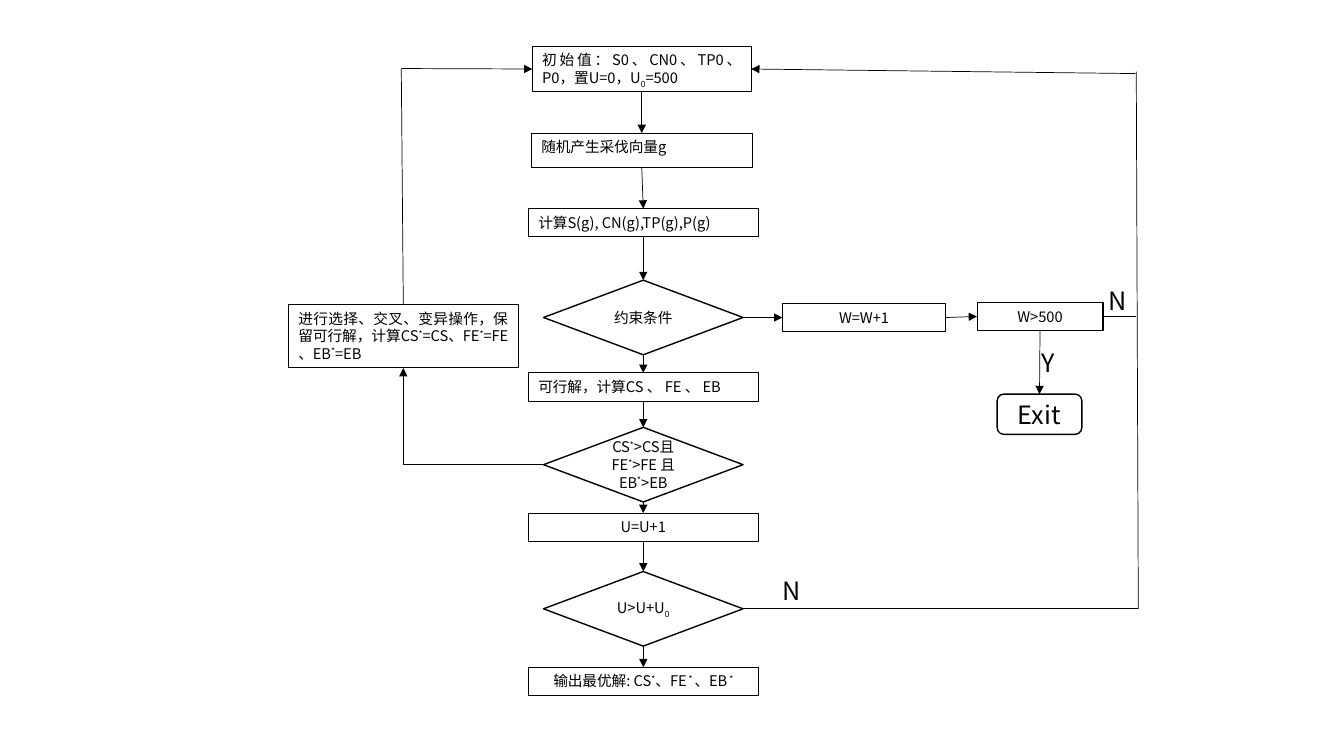
from lxml import etree
from pptx import Presentation
from pptx.dml.color import RGBColor
from pptx.enum.shapes import MSO_CONNECTOR, MSO_SHAPE
from pptx.enum.text import MSO_ANCHOR, PP_ALIGN
from pptx.oxml.ns import qn
from pptx.util import Inches, Pt

RECTANGLE, DIAMOND, ROUNDED = MSO_SHAPE.RECTANGLE, MSO_SHAPE.DIAMOND, MSO_SHAPE.ROUNDED_RECTANGLE
STRAIGHT = MSO_CONNECTOR.STRAIGHT
LEFT_ALIGN, CENTER, JUSTIFY = PP_ALIGN.LEFT, PP_ALIGN.CENTER, PP_ALIGN.JUSTIFY
TOP_ANCHOR, MIDDLE = MSO_ANCHOR.TOP, MSO_ANCHOR.MIDDLE
TOP, LEFT, BOTTOM, RIGHT = range(4)

COLORS = {"ink": "000000", "paper": "FFFFFF"}
FONT = "Noto Sans CJK SC"
SUPERSCRIPT, SUBSCRIPT = 30, -25
CELL = Inches(0.1)  # the grid's columns and rows are equally wide

# Grid measures shared by the main column
AXIS = 63.8
STEP_WIDTH, STEP_HEIGHT = 22.8, 2.8
DECISION_WIDTH, DECISION_HEIGHT = 19.8, 7.4


def color(name):
    return RGBColor.from_string(COLORS[name])


def write(frame, text, size=10.5, align=CENTER, anchor=TOP_ANCHOR, script=SUPERSCRIPT):
    """Fill a text frame; parts between bars are raised or lowered by script percent."""
    frame.word_wrap = True
    frame.vertical_anchor = anchor
    paragraph = frame.paragraphs[0]
    paragraph.alignment = align
    for index, part in enumerate(text.split("|")):
        if not part:
            continue
        run = paragraph.add_run()
        run.text = part
        run.font.size = Pt(size)
        run.font.name = FONT
        run.font.color.rgb = color("ink")
        properties = run.font._element
        etree.SubElement(properties, qn("a:ea"), typeface=FONT)
        if index % 2:
            properties.set("baseline", str(script * 1000))


class Flowchart:
    def __init__(self, slide):
        self.slide = slide

    def box(self, text, left, top, width, height, kind=RECTANGLE, line=0.75, **style):
        cells = [round(value * CELL) for value in (left, top, width, height)]
        shape = self.slide.shapes.add_shape(kind, *cells)
        shape.shadow.inherit = False
        if kind == RECTANGLE:
            shape.fill.solid()
            shape.fill.fore_color.rgb = color("paper")
        else:
            shape.fill.background()
        shape.line.color.rgb = color("ink")
        shape.line.width = Pt(line)
        write(shape.text_frame, text, **style)
        return shape

    def step(self, text, top, **style):
        return self.box(text, AXIS - STEP_WIDTH / 2, top, STEP_WIDTH, STEP_HEIGHT, **style)

    def decision(self, text, top, **style):
        return self.box(text, AXIS - DECISION_WIDTH / 2, top, DECISION_WIDTH, DECISION_HEIGHT,
                        kind=DIAMOND, line=1, anchor=MIDDLE, **style)

    def label(self, text, left, top):
        cells = [round(value * CELL) for value in (left, top, 2.8, 4)]
        write(self.slide.shapes.add_textbox(*cells).text_frame, text, size=18, align=LEFT_ALIGN)

    def link(self, start, end, arrow=True):
        """Join two ends, each a grid point or a (shape, side) pair."""
        connector = self.slide.shapes.add_connector(STRAIGHT, 0, 0, 0, 0)
        if hasattr(start[0], "text_frame"):
            connector.begin_connect(*start)
        else:
            connector.begin_x, connector.begin_y = (round(value * CELL) for value in start)
        if hasattr(end[0], "text_frame"):
            connector.end_connect(*end)
        else:
            connector.end_x, connector.end_y = (round(value * CELL) for value in end)
        connector.line.color.rgb = color("ink")
        connector.line.width = Pt(0.5)
        if arrow:
            etree.SubElement(connector.line._get_or_add_ln(), qn("a:tailEnd"), type="triangle")
        etree.SubElement(connector._element.spPr, qn("a:effectLst"))


def main():
    presentation = Presentation()
    presentation.slide_width, presentation.slide_height = Inches(13.33), Inches(7.5)
    chart = Flowchart(presentation.slides.add_slide(presentation.slide_layouts[6]))

    # Main column, from top to bottom
    initial = chart.box("初始值：S0、CN0、TP0、P0，置U=0，U|0|=500", 52.8, 4.6, 21.7, 4.5,
                        align=JUSTIFY, script=SUBSCRIPT)
    vector = chart.box("随机产生采伐向量g", 52.7, 13.2, 21.9, 3.4, line=0.5, align=JUSTIFY)
    compute = chart.step("计算S(g), CN(g),TP(g),P(g)", 20.7, align=JUSTIFY)
    constraint = chart.decision("约束条件", 27.8)
    feasible = chart.step("可行解，计算CS 、 FE 、 EB", 37, align=JUSTIFY)
    better = chart.decision("CS|*|>CS且FE|*|>FE 且EB|*|>EB", 42.4)
    count = chart.step("U=U+1", 50.9)
    finished = chart.decision("U>U+U|0|", 56.7, script=SUBSCRIPT)
    output = chart.step("输出最优解: CS|*|、FE| * |、EB| *|", 66.2)

    # Side branches
    retry = chart.box("W=W+1", 77.6, 30.1, 16.2, STEP_HEIGHT)
    limit = chart.box("W>500", 96.9, 30, 12.5, STEP_HEIGHT)
    leave = chart.box("Exit", 98.9, 39.1, 8.4, 4, kind=ROUNDED, line=1, size=18, anchor=MIDDLE)
    evolve = chart.box("进行选择、交叉、变异操作，保留可行解，计算CS|*|=CS、FE|*|=FE 、EB|*|=EB",
                       28.6, 30.2, 22.8, 6.3, align=JUSTIFY)

    # Arrows down the main column
    column = [initial, vector, compute, constraint, feasible, better, count, finished, output]
    for upper, lower in zip(column, column[1:]):
        chart.link((upper, BOTTOM), (lower, TOP))

    # Arrows of the right branch
    chart.link((constraint, RIGHT), (retry, LEFT))
    chart.link((retry, RIGHT), (limit, LEFT))
    chart.link((limit, BOTTOM), (leave, TOP))

    # Left loop back to the start
    chart.link((better, LEFT), (40, 46.1), arrow=False)
    chart.link((40, 46.1), (evolve, BOTTOM))
    chart.link((evolve, TOP), (39.8, 6.8), arrow=False)
    chart.link((39.8, 6.8), (initial, LEFT))

    # Right loop back to the start
    chart.link((limit, RIGHT), (112.7, 31.4), arrow=False)
    chart.link((finished, RIGHT), (112.9, 60.4), arrow=False)
    chart.link((112.7, 7.1), (112.9, 60.4), arrow=False)
    chart.link((112.6, 7.3), (initial, RIGHT))

    # Branch labels
    for text, left, top in (("Y", 102.3, 34), ("N", 109, 27.8), ("N", 76.6, 56.6)):
        chart.label(text, left, top)

    presentation.save("out.pptx")


if __name__ == "__main__":
    main()
